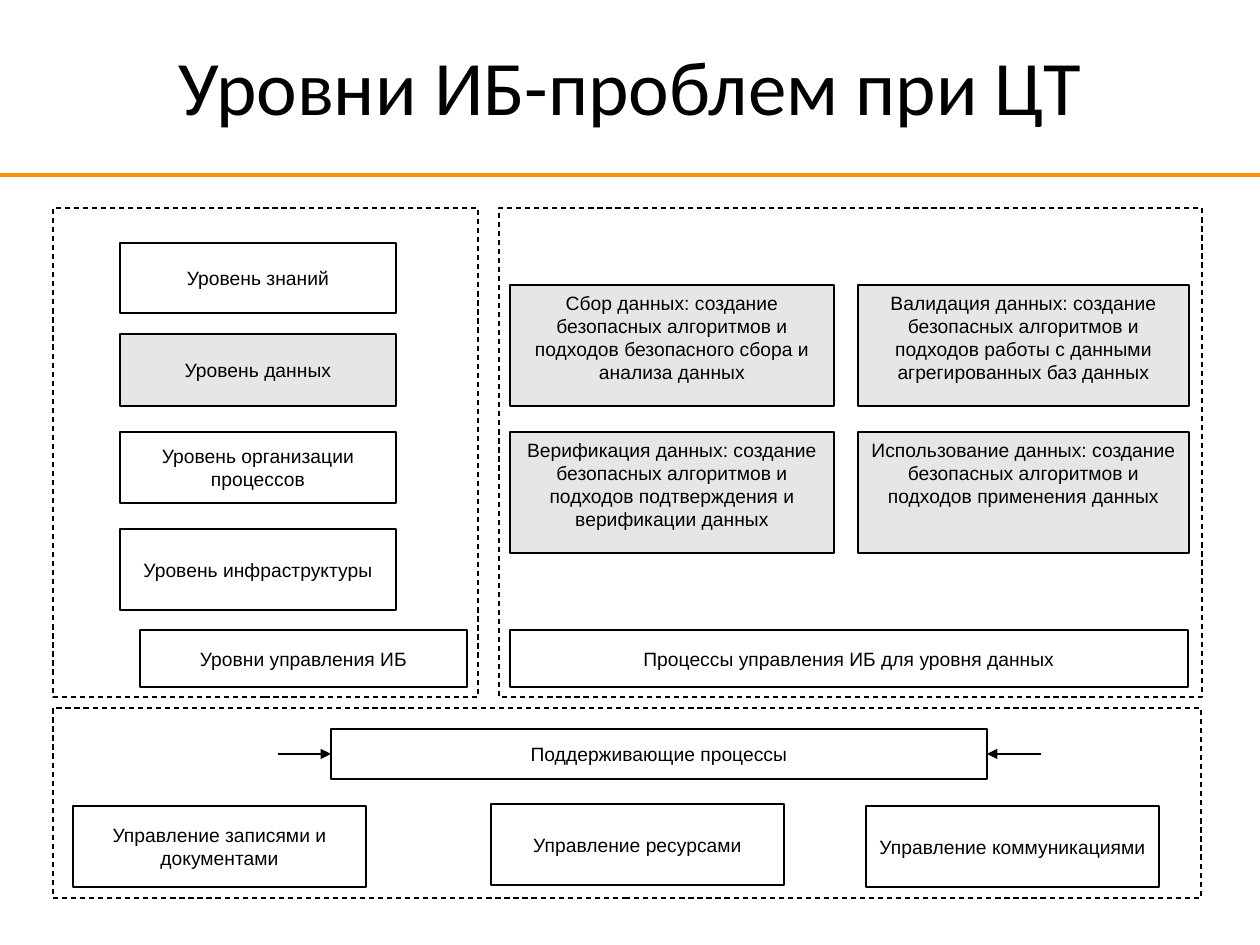
from lxml.etree import SubElement
from pptx import Presentation
from pptx.dml.color import RGBColor
from pptx.enum.dml import MSO_LINE
from pptx.enum.shapes import MSO_CONNECTOR, MSO_SHAPE
from pptx.enum.text import MSO_ANCHOR, PP_ALIGN
from pptx.oxml.ns import qn
from pptx.util import Pt

SCALE = 914400 / 126
BLACK, WHITE, GRAY, ORANGE = "000000", "FFFFFF", "E7E6E6", "FF9201"


def px(length):
    return round(length * SCALE)


def color(value):
    return RGBColor.from_string(value)


def write(shape, text, font="Arial", size=11, anchor=MSO_ANCHOR.MIDDLE):
    frame = shape.text_frame
    frame.word_wrap = True
    frame.vertical_anchor = anchor
    para = frame.paragraphs[0]
    para.alignment = PP_ALIGN.CENTER
    span = para.add_run()
    span.text = text
    span.font.name = font
    span.font.size = Pt(size)
    span.font.color.rgb = color(BLACK)


def add_box(page, left, top, width, height, text="", fill=WHITE, dashed=False,
            anchor=MSO_ANCHOR.MIDDLE):
    box = page.shapes.add_shape(MSO_SHAPE.RECTANGLE, px(left), px(top), px(width), px(height))
    box.shadow.inherit = False
    box.fill.solid()
    box.fill.fore_color.rgb = color(fill)
    box.line.color.rgb = color(BLACK)
    box.line.width = Pt(0.75)
    if dashed:
        box.line.dash_style = MSO_LINE.DASH
    if text:
        write(box, text, anchor=anchor)
    return box


def add_line(page, start_x, end_x, y, stroke=BLACK, weight=0.75, arrow=False):
    line = page.shapes.add_connector(MSO_CONNECTOR.STRAIGHT, px(start_x), px(y), px(end_x), px(y))
    line.line.color.rgb = color(stroke)
    line.line.width = Pt(weight)
    if arrow:
        SubElement(line.line._get_or_add_ln(), qn("a:tailEnd"), type="triangle")
    SubElement(line._element.spPr, qn("a:effectLst"))
    return line


def add_header(page, left, top, width, height):
    title = page.shapes.title
    title.left, title.top, title.width, title.height = map(px, (left, top, width, height))
    write(title, "Уровни ИБ-проблем при ЦТ", font="Calibri", size=44)
    add_line(page, 0, 1260, 175, stroke=ORANGE, weight=2.5)


def add_levels(page, left, top, width, height):
    add_box(page, left, top, width, height, dashed=True)
    levels = [
        ("Уровень знаний", 35, 70, WHITE),
        ("Уровень данных", 126, 72, GRAY),
        ("Уровень организации процессов", 224, 71, WHITE),
        ("Уровень инфраструктуры", 321, 81, WHITE),
    ]
    for text, offset, level_height, fill in levels:
        add_box(page, left + 67, top + offset, 276, level_height, text, fill)
    add_box(page, left + 87, top + 422, 327, 57, "Уровни управления ИБ")


def add_processes(page, left, top, width, height):
    add_box(page, left, top, width, height, dashed=True)
    columns = [(11, 324), (359, 331)]
    rows = [
        (77, ["Сбор данных: создание безопасных алгоритмов и подходов безопасного сбора "
              "и анализа данных",
              "Валидация данных: создание безопасных алгоритмов и подходов работы с данными "
              "агрегированных баз данных"]),
        (224, ["Верификация данных: создание безопасных алгоритмов и подходов подтверждения "
               "и верификации данных",
               "Использование данных: создание безопасных алгоритмов и подходов "
               "применения данных"]),
    ]
    for row_top, texts in rows:
        for (column_left, column_width), text in zip(columns, texts):
            add_box(page, left + column_left, top + row_top, column_width, 121, text, GRAY,
                    anchor=MSO_ANCHOR.TOP)
    add_box(page, left + 11, top + 422, 678, 57, "Процессы управления ИБ для уровня данных")


def add_support(page, left, top, width, height):
    add_box(page, left, top, width, height, dashed=True)
    center = add_box(page, left + 278, top + 21, 656, 50, "Поддерживающие процессы")
    for start, end, side in [(225, 278, 1), (988, 934, 3)]:
        arrow = add_line(page, left + start, left + end, top + 46, arrow=True)
        arrow.end_connect(center, side)
    cards = [
        ("Управление записями и документами", 20, 98),
        ("Управление ресурсами", 438, 96),
        ("Управление коммуникациями", 813, 98),
    ]
    for text, card_left, card_top in cards:
        add_box(page, left + card_left, top + card_top, 293, 81, text)


def main():
    deck = Presentation()
    deck.slide_width, deck.slide_height = px(1260), px(945)
    page = deck.slides.add_slide(deck.slide_layouts[5])
    add_header(page, 63, 6, 1134, 158)
    add_processes(page, 499, 208, 703, 489)
    add_support(page, 53, 708, 1148, 190)
    add_levels(page, 53, 208, 425, 489)
    deck.save("out.pptx")


if __name__ == "__main__":
    main()
